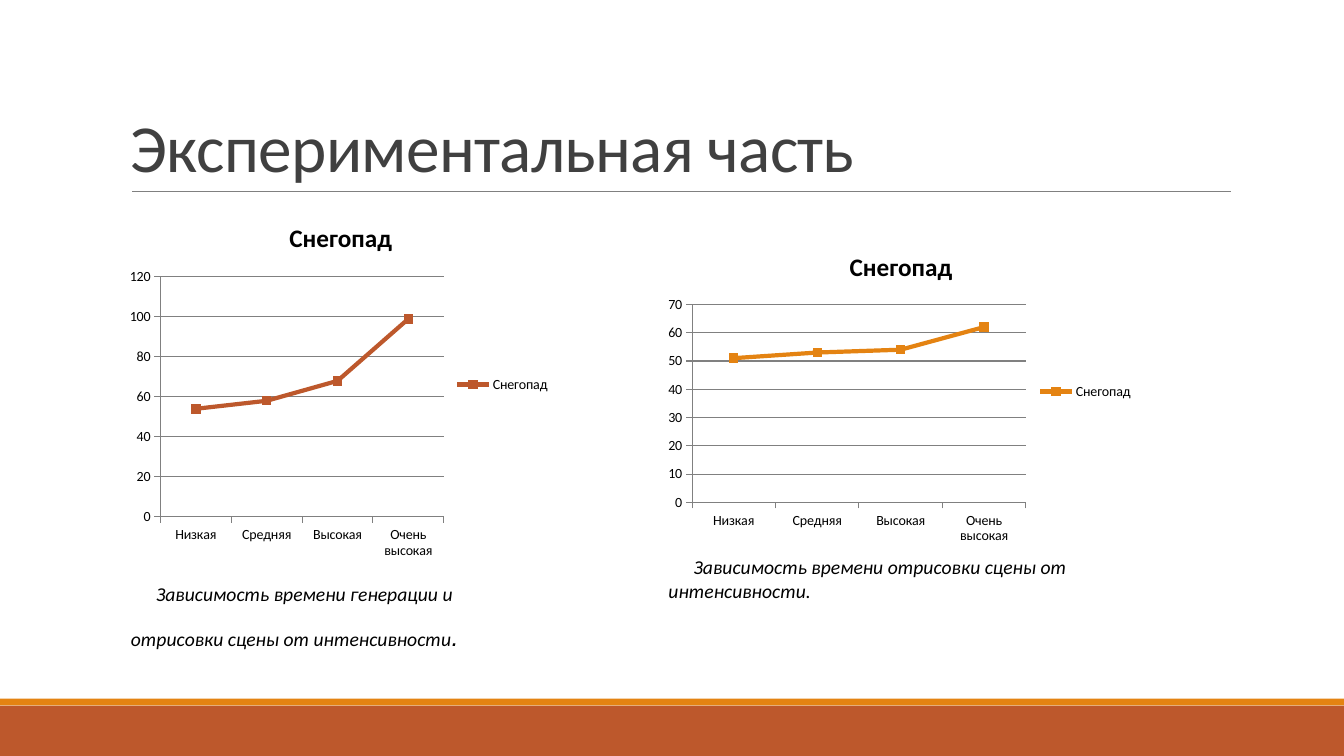
import pptx
import pptx.util
import pptx.chart.data
import pptx.dml.color
import pptx.enum.chart
import pptx.enum.shapes
import pptx.enum.text
import pptx.oxml.ns
import lxml.etree

RGBColor = pptx.dml.color.RGBColor
RUST = RGBColor(0xBD, 0x58, 0x2C)
ORANGE = RGBColor(0xE4, 0x83, 0x12)
GREY = RGBColor(0x80, 0x80, 0x80)
DARK = RGBColor(0x40, 0x40, 0x40)
BLACK = RGBColor(0, 0, 0)

SLIDE_WIDTH = pptx.util.Inches(13.333)
SLIDE_HEIGHT = pptx.util.Inches(7.5)
FONT = "Calibri"
INTENSITIES = ["Низкая", "Средняя", "Высокая", "Очень высокая"]
LEFT_COLUMN, RIGHT_COLUMN = 9, 49


def place(left, top, width, height):
    """Turn percentages of the slide's size into lengths."""
    return (int(SLIDE_WIDTH * left / 100), int(SLIDE_HEIGHT * top / 100),
            int(SLIDE_WIDTH * width / 100), int(SLIDE_HEIGHT * height / 100))


def style_font(font, size, color, name=FONT, bold=False, italic=False):
    font.size = pptx.util.Pt(size)
    font.color.rgb = color
    font.name = name
    font.bold = bold
    font.italic = italic


def add_band(page, area, color):
    band = page.shapes.add_shape(pptx.enum.shapes.MSO_SHAPE.RECTANGLE, *place(*area))
    band.shadow.inherit = False
    band.fill.solid()
    band.fill.fore_color.rgb = color
    band.line.fill.background()


def add_rule(page, left, right, top):
    start_x, y, length, _ = place(left, top, right - left, 0)
    rule = page.shapes.add_connector(
        pptx.enum.shapes.MSO_CONNECTOR.STRAIGHT, start_x, y, start_x + length, y)
    rule.line.color.rgb = GREY
    rule.line.width = pptx.util.Pt(0.5)
    lxml.etree.SubElement(rule._element.spPr, pptx.oxml.ns.qn("a:effectLst"))


def add_text_box(page, area):
    box = page.shapes.add_textbox(*place(*area))
    box.text_frame.word_wrap = True
    return box.text_frame


def add_title(page, area, text):
    frame = add_text_box(page, area)
    frame.vertical_anchor = pptx.enum.text.MSO_ANCHOR.BOTTOM
    frame.text = text
    para = frame.paragraphs[0]
    para.line_spacing = 0.85
    span = para.runs[0]
    style_font(span.font, 48, DARK)
    span.font._element.set("spc", "-50")


def add_caption(page, area, text, line_spacing=1.0):
    frame = add_text_box(page, area)
    frame.auto_size = pptx.enum.text.MSO_AUTO_SIZE.SHAPE_TO_FIT_TEXT
    frame.text = text
    para = frame.paragraphs[0]
    para.line_spacing = line_spacing
    para.space_after = pptx.util.Pt(10)
    para._p.get_or_add_pPr().set("indent", str(pptx.util.Inches(0.25)))
    style_font(para.runs[0].font, 14, BLACK, italic=True)
    return para


def add_line_chart(page, area, name, values, color):
    data = pptx.chart.data.CategoryChartData()
    data.categories = INTENSITIES
    data.add_series(name, values)
    chart = page.shapes.add_chart(
        pptx.enum.chart.XL_CHART_TYPE.LINE_MARKERS, *place(*area), data).chart
    style_font(chart.font, 10, BLACK)

    # Title and legend
    chart.has_title = True
    title = chart.chart_title.text_frame
    title.text = name
    style_font(title.paragraphs[0].runs[0].font, 18, BLACK, bold=True)
    chart.has_legend = True
    chart.legend.position = pptx.enum.chart.XL_LEGEND_POSITION.RIGHT
    chart.legend.include_in_layout = False

    # Axes
    chart.value_axis.has_major_gridlines = True
    for axis in (chart.category_axis, chart.value_axis):
        axis.major_tick_mark = pptx.enum.chart.XL_TICK_MARK.OUTSIDE
        axis.minor_tick_mark = pptx.enum.chart.XL_TICK_MARK.NONE
    for ruled in (chart.category_axis, chart.value_axis,
                  chart.value_axis.major_gridlines):
        ruled.format.line.color.rgb = GREY
        ruled.format.line.width = pptx.util.Pt(0.75)

    # Line and markers
    chart.plots[0].vary_by_categories = False
    series = chart.plots[0].series[0]
    series.smooth = False
    series.format.line.color.rgb = color
    series.format.line.width = pptx.util.Pt(3)
    marker = series.marker
    marker.style = pptx.enum.chart.XL_MARKER_STYLE.SQUARE
    marker.size = 6
    marker.format.fill.solid()
    marker.format.fill.fore_color.rgb = color
    marker.format.line.color.rgb = color


def main():
    deck = pptx.Presentation()
    deck.slide_width, deck.slide_height = SLIDE_WIDTH, SLIDE_HEIGHT
    page = deck.slides.add_slide(deck.slide_layouts[6])

    # Footer bands and heading
    add_band(page, (0, 93.33, 100, 6.67), RUST)
    add_band(page, (0, 92.4, 100, 0.9), ORANGE)
    add_rule(page, 9.83, 91.58, 25.33)
    add_title(page, (LEFT_COLUMN, 4.13, 82.5, 21.2), "Экспериментальная часть")

    # Generation and drawing time
    add_line_chart(page, (LEFT_COLUMN, 26.93, 32.7, 47.87),
                   "Снегопад", (54, 58, 68, 99), RUST)
    caption = add_caption(
        page, (LEFT_COLUMN, 74.8, 28.43, 12.13),
        "Зависимость времени генерации и отрисовки сцены от интенсивности", 1.5)
    full_stop = caption.add_run()
    full_stop.text = "."
    style_font(full_stop.font, 18, BLACK, name="Arial", italic=True)

    # Drawing time only
    add_line_chart(page, (RIGHT_COLUMN, 30.8, 36.08, 42),
                   "Снегопад", (51, 53, 54, 62), ORANGE)
    add_caption(page, (RIGHT_COLUMN, 72.8, 32.78, 7.6),
                "Зависимость времени отрисовки сцены от интенсивности.")

    deck.save("out.pptx")


main()
